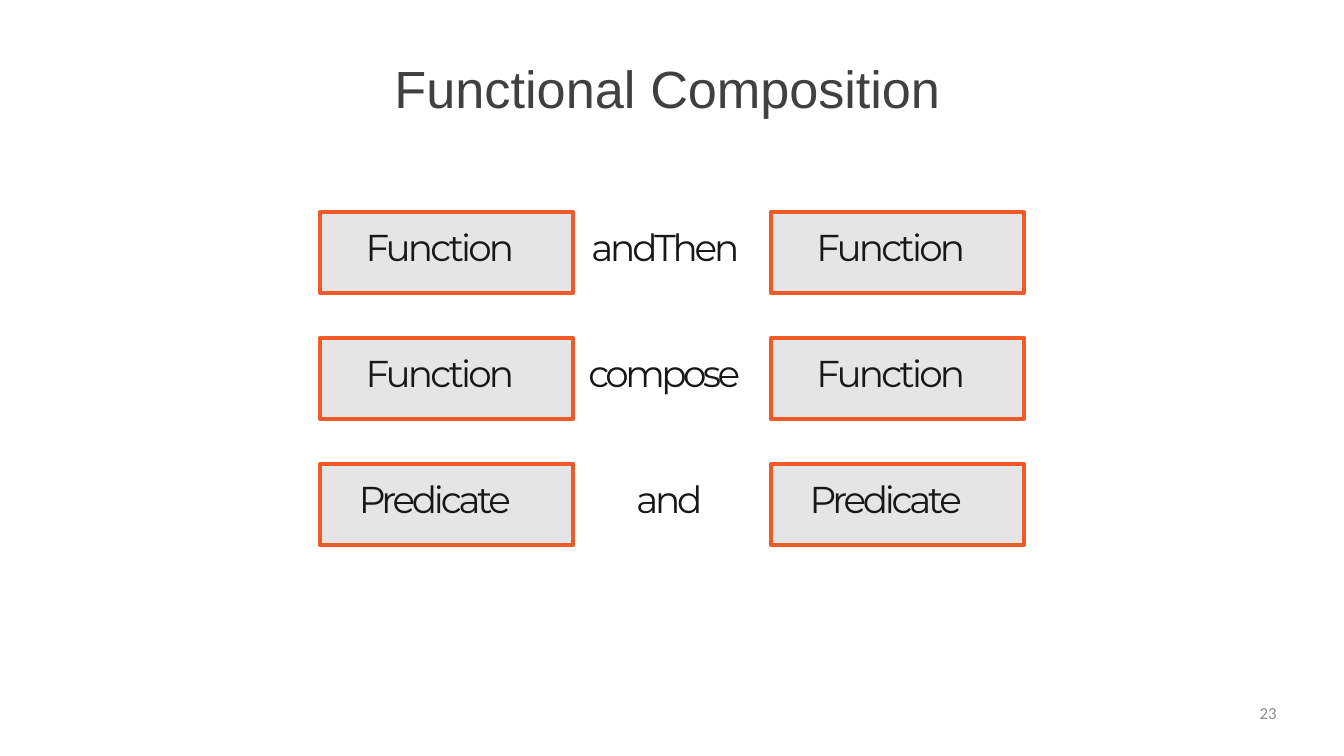
from dataclasses import dataclass

from pptx import Presentation, util as u
from pptx.dml.color import RGBColor
from pptx.enum import shapes, text

COLORS = {"title": "404040", "fill": "E5E5E5", "border": "F05A28",
          "ink": "171717", "page": "8C8C8C"}
WIDTH, HEIGHT = u.Inches(20), u.Inches(11.25)

OPERAND_LEFTS = (23.8, 57.35)
OPERAND_WIDTH, OPERAND_HEIGHT = 18.85, 10.76
OPERATOR_CENTER = 49.83
FIRST_TOP, ROW_PITCH = 28, 16.67


@dataclass
class Composition:
    operand: str
    operand_indent: float
    operand_spacing: float
    operator: str
    operator_width: float
    operator_spacing: float


COMPOSITIONS = (
    Composition("Function", 3.4, -3, "andThen", 11.75, -3.4),
    Composition("Function", 3.4, -3, "compose", 12.2, -3.8),
    Composition("Predicate", 2.9, -3.5, "and", 5.05, -3.5),
)


def across(share: float) -> int:
    return round(WIDTH * share / 100)


def down(share: float) -> int:
    return round(HEIGHT * share / 100)


def color(name: str) -> RGBColor:
    return RGBColor.from_string(COLORS[name])


def area(left: float, top: float, width: float, height: float) -> tuple:
    return across(left), down(top), across(width), down(height)


def write(holder, runs, size, face, ink, indent=0, inset=0,
          align=text.PP_ALIGN.LEFT) -> None:
    frame = holder.text_frame
    frame_format = {"word_wrap": True, "auto_size": text.MSO_AUTO_SIZE.NONE,
                    "vertical_anchor": text.MSO_ANCHOR.TOP,
                    "margin_left": across(indent), "margin_top": down(inset),
                    "margin_right": 0, "margin_bottom": 0}
    for key, value in frame_format.items():
        setattr(frame, key, value)
    line = frame.paragraphs[0]
    line.alignment = align
    for words, spacing in runs:
        run = line.add_run()
        run.text = words
        for key, value in {"size": u.Pt(size), "name": face}.items():
            setattr(run.font, key, value)
        run.font.color.rgb = color(ink)
        if spacing:
            run._r.get_or_add_rPr().set("spc", str(round(spacing * 100)))


def draw_operand(slide, item: Composition, left: float, top: float) -> None:
    operand = slide.shapes.add_shape(
        shapes.MSO_SHAPE.RECTANGLE,
        *area(left, top, OPERAND_WIDTH, OPERAND_HEIGHT))
    operand.shadow.inherit = False
    operand.fill.solid()
    operand.fill.fore_color.rgb = color("fill")
    operand.line.color.rgb = color("border")
    operand.line.width = u.Pt(4)
    write(operand, [(item.operand, item.operand_spacing)], 40, "Montserrat",
          "ink", indent=item.operand_indent, inset=1.7)


def draw_composition(slide, item: Composition, top: float) -> None:
    for left in OPERAND_LEFTS:
        draw_operand(slide, item, left, top)
    operator = slide.shapes.add_textbox(
        *area(OPERATOR_CENTER - item.operator_width / 2, top + 1.6,
              item.operator_width, 6.13))
    write(operator, [(item.operator, item.operator_spacing)], 40,
          "Montserrat", "ink", indent=0.05, inset=0.1)


def main() -> None:
    deck = Presentation()
    deck.slide_width, deck.slide_height = WIDTH, HEIGHT
    slide = deck.slides.add_slide(deck.slide_layouts[5])

    title = slide.shapes.title
    title.left, title.top, title.width, title.height = area(12.95, 7.29, 74.15, 8.53)
    write(title, [("Functional ", 0), ("Composition", -0.1)], 56, "Arial",
          "title", indent=16.4, inset=0.1)

    for row, item in enumerate(COMPOSITIONS):
        draw_composition(slide, item, FIRST_TOP + row * ROW_PITCH)

    page = slide.shapes.add_textbox(*area(72, 92.98, 23, 4.98))
    write(page, [("23", 0)], 18, "Calibri", "page", align=text.PP_ALIGN.RIGHT)

    deck.save("out.pptx")


if __name__ == "__main__":
    main()
